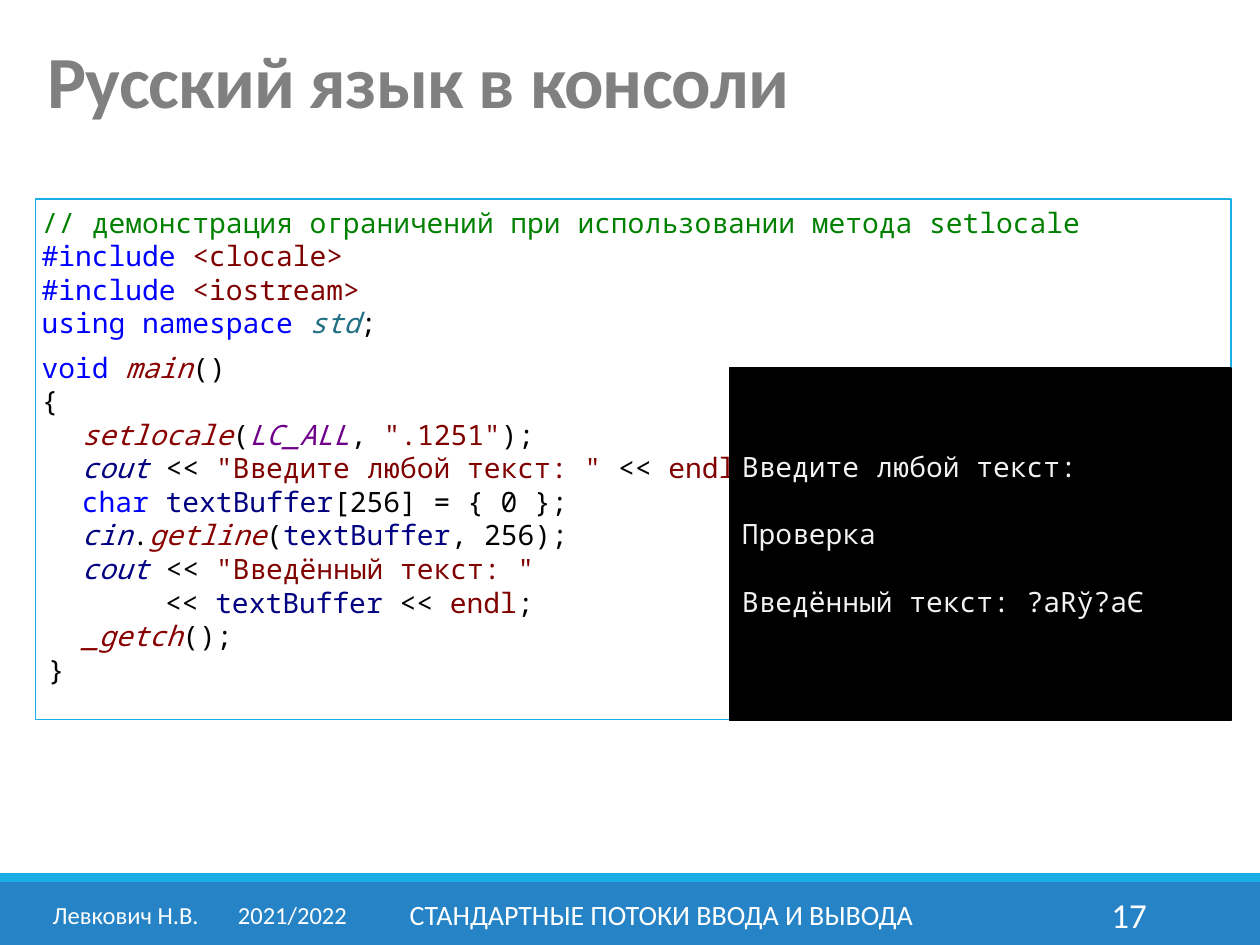
from pptx import Presentation
from pptx.dml.color import RGBColor
from pptx.enum.shapes import MSO_SHAPE as Shape
from pptx.enum.text import MSO_ANCHOR as Anchor, PP_ALIGN as Align
from pptx.oxml.ns import qn
from pptx.util import Inches, Pt
from lxml import etree

COLORS = {
    "bar": "2683C6", "accent": "1CADE4", "title": "808080", "white": "FFFFFF",
    "black": "000000", "output": "F2F2F2", "comment": "008000",
    "keyword": "0000FF", "string": "800000", "namespace": "216F85",
    "function": "880000", "macro": "6F008A", "variable": "000080",
    "stream": "000080", "plain": "000000",
}
ITALIC = {"namespace", "function", "macro", "stream"}
CODE_FONT = "Noto Sans Mono"
CODE_PITCH = Pt(19.2)
OUTER, INNER, CONTINUED = 0.05, 0.37, 1.03

CODE = [
    (OUTER, [("comment", "// демонстрация ограничений при использовании метода setlocale")]),
    (OUTER, [("keyword", "#include"), ("plain", " "), ("string", "<clocale>")]),
    (OUTER, [("keyword", "#include"), ("plain", " "), ("string", "<iostream>")]),
    (OUTER, [("keyword", "using namespace"), ("plain", " "), ("namespace", "std"), ("plain", ";")]),
    (OUTER, [("keyword", "void"), ("plain", " "), ("function", "main"), ("plain", "()")]),
    (OUTER, [("plain", "{")]),
    (INNER, [("function", "setlocale"), ("plain", "("), ("macro", "LC_ALL"), ("plain", ", "),
             ("string", "\".1251\""), ("plain", ");")]),
    (INNER, [("stream", "cout"), ("plain", " << "), ("string", "\"Введите любой текст: \""),
             ("plain", " << "), ("string", "endl"), ("plain", ";")]),
    (INNER, [("keyword", "char"), ("plain", " "), ("variable", "textBuffer"),
             ("plain", "[256] = { 0 };")]),
    (INNER, [("stream", "cin"), ("plain", "."), ("function", "getline"), ("plain", "("),
             ("variable", "textBuffer"), ("plain", ", 256);")]),
    (INNER, [("stream", "cout"), ("plain", " << "), ("string", "\"Введённый текст: \"")]),
    (CONTINUED, [("plain", "<< "), ("variable", "textBuffer"), ("plain", " << "),
                 ("string", "endl"), ("plain", ";")]),
    (INNER, [("function", "_getch"), ("plain", "();")]),
    (0.1, [("plain", "}")]),
]
PARAGRAPH_AFTER_HEADER = 4
OUTPUT = ["Введите любой текст:", "Проверка", "Введённый текст: ?аRў?аЄ"]


def rgb(name):
    return RGBColor.from_string(COLORS[name])


def add_box(slide, box, fill=None, line=None):
    shape = slide.shapes.add_shape(Shape.RECTANGLE, *map(Inches, box))
    shape.shadow.inherit = False
    if fill:
        shape.fill.solid()
        shape.fill.fore_color.rgb = rgb(fill)
    else:
        shape.fill.background()
    if line:
        shape.line.color.rgb = rgb(line)
        shape.line.width = Pt(0.75)
    else:
        shape.line.fill.background()
    return shape


def set_frame(shape, margins):
    frame = shape.text_frame
    frame.word_wrap = True
    frame.vertical_anchor = Anchor.TOP
    frame.margin_left, frame.margin_top, frame.margin_right, frame.margin_bottom = map(Inches, margins)
    return frame


def add_paragraph(frame, index):
    paragraph = frame.add_paragraph() if index else frame.paragraphs[0]
    paragraph.alignment = Align.LEFT
    paragraph.line_spacing = CODE_PITCH
    paragraph.font.name = CODE_FONT
    paragraph.font.size = Pt(16)
    return paragraph


def add_label(slide, box, text, size, color="white", align=Align.LEFT):
    shape = slide.shapes.add_textbox(*map(Inches, box))
    frame = shape.text_frame
    frame.word_wrap = True
    frame.vertical_anchor = Anchor.MIDDLE
    paragraph = frame.paragraphs[0]
    paragraph.alignment = align
    paragraph.font.name = "Calibri"
    paragraph.font.size = Pt(size)
    paragraph.font.color.rgb = rgb(color)
    paragraph.add_run().text = text
    return paragraph


def add_tab_stop(paragraph, position):
    properties = paragraph._p.get_or_add_pPr()
    tabs = etree.Element(qn("a:tabLst"))
    etree.SubElement(tabs, qn("a:tab"), pos=str(Inches(position)), algn="l")
    properties.find(qn("a:defRPr")).addprevious(tabs)


def add_title(slide, box):
    paragraph = add_label(slide, box, "Русский язык в консоли", 42, "title")
    paragraph.font.bold = True
    paragraph.line_spacing = 0.85
    paragraph.runs[0]._r.get_or_add_rPr().set("spc", "-50")


def add_code(slide, box):
    frame = set_frame(add_box(slide, box, line="accent"), (0, 0.05, 0, 0.05))
    for index, (indent, tokens) in enumerate(CODE):
        paragraph = add_paragraph(frame, index)
        paragraph._p.get_or_add_pPr().set("marL", str(Inches(indent)))
        if index == PARAGRAPH_AFTER_HEADER:
            paragraph.space_before = Pt(6)
        for style, text in tokens:
            run = paragraph.add_run()
            run.text = text
            run.font.color.rgb = rgb(style)
            run.font.italic = style in ITALIC


def add_console(slide, box):
    frame = set_frame(add_box(slide, box, "black", "black"), (0.1, 0.65, 0.1, 0.05))
    for index, text in enumerate(OUTPUT):
        paragraph = add_paragraph(frame, index)
        paragraph.font.color.rgb = rgb("output")
        paragraph.add_run().text = text
        if index:
            paragraph.space_before = CODE_PITCH


def add_footer(slide, box):
    left, top, width, height = box
    stripe = 0.07
    add_box(slide, (left, top + stripe, width, height - stripe), "bar")
    add_box(slide, (left, top, width, stripe), "accent")
    label_top, label_height = top + 0.13, 0.4
    author = add_label(slide, (left + 0.32, label_top, 2.61, label_height),
                       "Левкович Н.В.\t2021/2022", 14)
    add_tab_stop(author, 1.47)
    add_label(slide, (left + 3.02, label_top, 4.46, label_height),
              "СТАНДАРТНЫЕ ПОТОКИ ВВОДА И ВЫВОДА", 16, align=Align.CENTER)
    add_label(slide, (left + 8.12, label_top, 1.08, label_height), "17", 20, align=Align.RIGHT)


def main():
    presentation = Presentation()
    presentation.slide_width = Inches(10)
    presentation.slide_height = Inches(7.5)
    slide = presentation.slides.add_slide(presentation.slide_layouts[6])
    add_footer(slide, (0, 6.93, 10, 0.57))
    add_code(slide, (0.28, 1.58, 9.49, 4.13))
    add_title(slide, (0.28, 0.01, 9.45, 1.34))
    add_console(slide, (5.79, 2.92, 3.98, 2.8))
    presentation.save("out.pptx")


if __name__ == "__main__":
    main()
